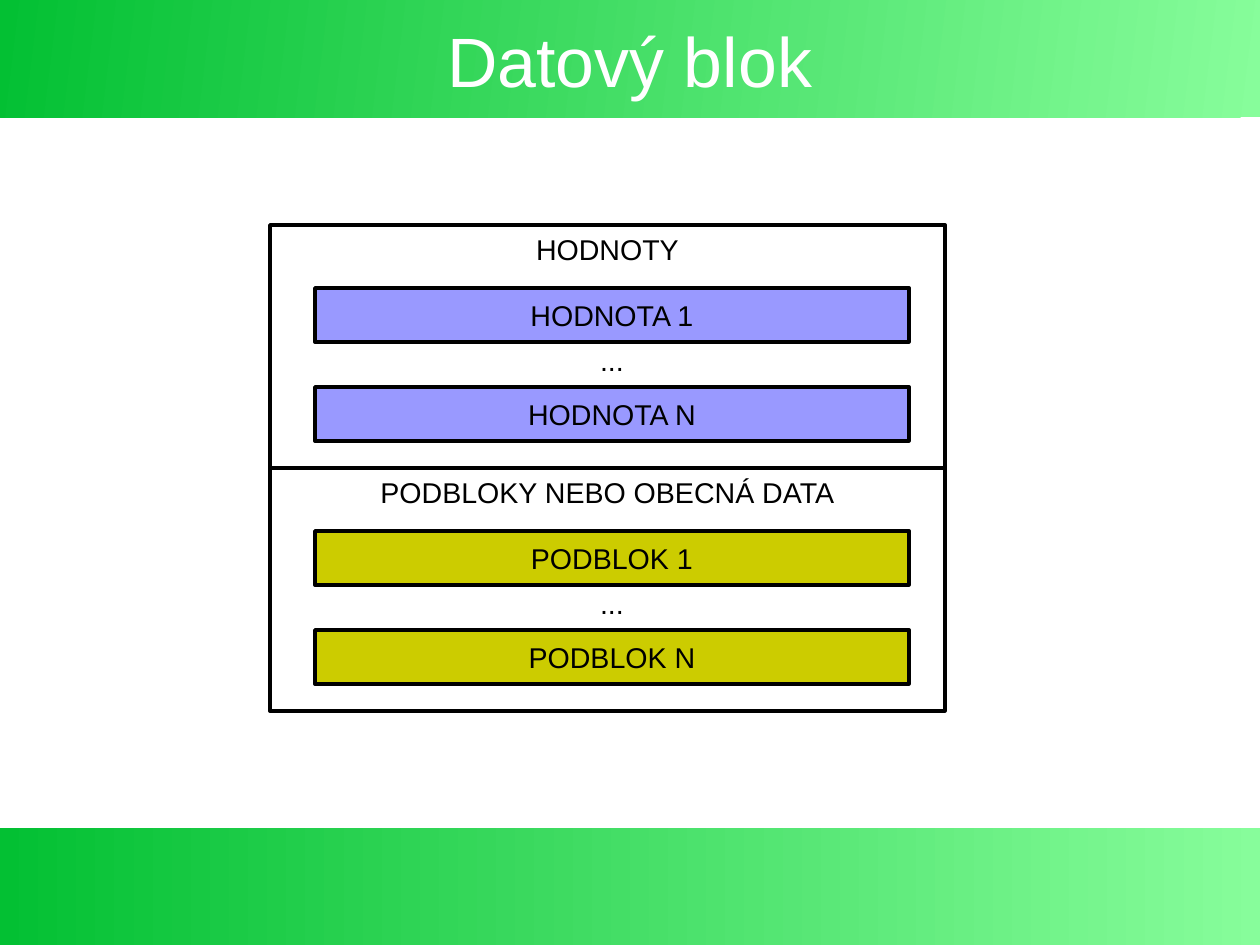
from pptx import Presentation
from pptx import util as u
from pptx.dml.color import RGBColor
from pptx.enum import shapes, text

THEME = {
    "dark": "03C033", "light": "87FD9B", "white": "FFFFFF", "ink": "000000",
    "value": "9999FF", "subblock": "CCCC00",
    "font": "Arial", "title": 44, "body": 18, "line": 0.08,
}
# All lengths in centimetres
W, H = 28, 21
BAND_H = 2.61
FRAME_X, FRAME_Y, FRAME_W, FRAME_H = 6, 5, 15, 5.4
BAR_X, BAR_W, BAR_H = 7, 13.2, 1.2
ROWS = (1.4, 2.4, 3.6)  # first bar, dots, last bar, from the frame top


def write(tf, words, size, color, anchor, margins, wrap):
    tf.text = words
    tf.word_wrap = wrap
    tf.vertical_anchor = anchor
    tf.margin_left = tf.margin_right = u.Cm(margins[0])
    tf.margin_top = tf.margin_bottom = u.Cm(margins[1])
    p = tf.paragraphs[0]
    p.alignment = text.PP_ALIGN.CENTER
    r = p.runs[0]
    r.font.size = u.Pt(size)
    r.font.name = THEME["font"]
    r.font.color.rgb = RGBColor.from_string(THEME[color])


def box(s, x, y, w, h, words, fill=None, line=True, anchor=text.MSO_ANCHOR.MIDDLE):
    at = [u.Cm(v) for v in (x, y, w, h)]
    if line:
        sp = s.shapes.add_shape(shapes.MSO_SHAPE.RECTANGLE, *at)
        sp.shadow.inherit = False
        sp.line.color.rgb = RGBColor.from_string(THEME["ink"])
        sp.line.width = u.Cm(THEME["line"])
    else:
        sp = s.shapes.add_textbox(*at)
    if fill:
        sp.fill.solid()
        sp.fill.fore_color.rgb = RGBColor.from_string(THEME[fill])
    else:
        sp.fill.background()
    write(sp.text_frame, words, THEME["body"], "ink", anchor, (0.28, 0.15), line)


prs = Presentation()
prs.slide_width, prs.slide_height = u.Cm(W), u.Cm(H)
s = prs.slides.add_slide(prs.slide_layouts[5])

# Green bands at the top and bottom
for y, angle in ((0, 173), (H - BAND_H, 180)):
    band = s.shapes.add_shape(shapes.MSO_SHAPE.RECTANGLE, 0, u.Cm(y),
                              prs.slide_width, u.Cm(BAND_H))
    band.shadow.inherit = False
    band.line.fill.background()
    band.fill.gradient()
    band.fill.gradient_angle = angle
    for stop, name in zip(band.fill.gradient_stops, ("light", "dark")):
        stop.color.rgb = RGBColor.from_string(THEME[name])

# Title, brought in front of the top band
title = s.shapes.title
title.left, title.top = u.Cm(W * 0.05), u.Cm(0.43)
title.width, title.height = u.Cm(W * 0.9), u.Cm(1.78)
write(title.text_frame, "Datový blok", THEME["title"], "white",
      text.MSO_ANCHOR.MIDDLE, (0, 0), True)
title.element.getparent().append(title.element)

# Two stacked sections: a frame with its first and last bar
sections = (
    ("HODNOTY", "HODNOTA", "value"),
    ("PODBLOKY NEBO OBECNÁ DATA", "PODBLOK", "subblock"),
)
for i, (heading, item, color) in enumerate(sections):
    top = FRAME_Y + i * FRAME_H
    box(s, FRAME_X, top, FRAME_W, FRAME_H, heading, anchor=text.MSO_ANCHOR.TOP)
    for dy, words in zip(ROWS, (f"{item} 1", "...", f"{item} N")):
        is_bar = words != "..."
        box(s, BAR_X, top + dy, BAR_W, BAR_H, words,
            fill=color if is_bar else None, line=is_bar)

prs.save("out.pptx")
